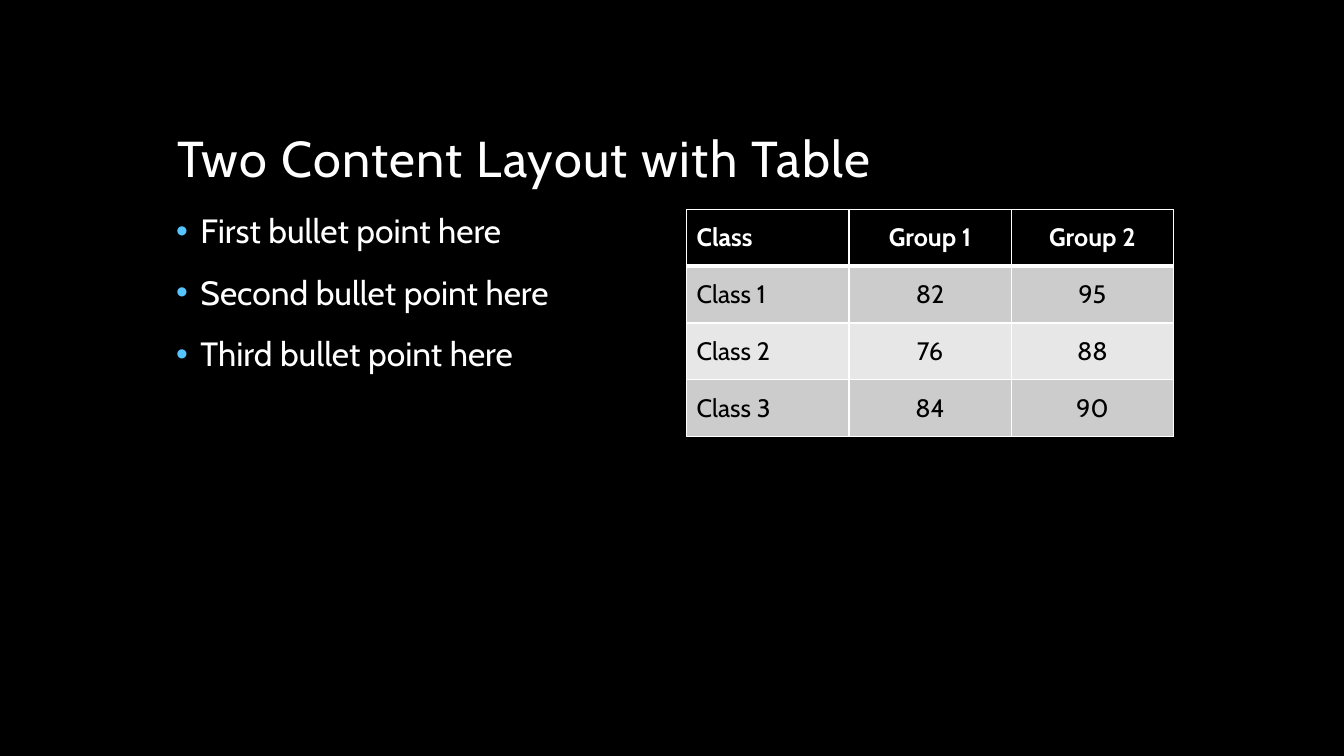
"""Build a slide with a bullet list beside a table of class results."""
from lxml.etree import SubElement
from pptx import Presentation
from pptx.dml.color import RGBColor
from pptx.enum.text import MSO_ANCHOR as Anchor, MSO_AUTO_SIZE as AutoSize, PP_ALIGN as Align
from pptx.oxml import parse_xml
from pptx.oxml.ns import nsdecls, qn
from pptx.util import Inches, Pt

TITLE = "Two Content Layout with Table"
BULLETS = ["First bullet point here", "Second bullet point here", "Third bullet point here"]
RESULTS = [
    ("Class", "Group 1", "Group 2"),
    ("Class 1", "82", "95"),
    ("Class 2", "76", "88"),
    ("Class 3", "84", "90"),
]

FONT = "Cabin"
BLACK = RGBColor(0x00, 0x00, 0x00)
WHITE = RGBColor(0xFF, 0xFF, 0xFF)
SKY = RGBColor(0x56, 0xC5, 0xFF)
BANDS = (RGBColor(0xE7, 0xE7, 0xE7), RGBColor(0xCC, 0xCC, 0xCC))

CONTENT_TOP = Inches(2.08)
CONTENT_WIDTH = Inches(4.83)
RESULTS_HEIGHT = Inches(2.25)
HANGING = Inches(0.24)
THIN, THICK = Pt(1), Pt(3)


def style(paragraph, size, color, bold=False):
    for run in paragraph.runs:
        run.font.name = FONT
        run.font.size = Pt(size)
        run.font.bold = bold
        run.font.color.rgb = color


def add_bullet(paragraph):
    properties = paragraph._p.get_or_add_pPr()
    properties.set("marL", str(HANGING))
    properties.set("indent", str(-HANGING))
    color = SubElement(properties, qn("a:buClr"))
    SubElement(color, qn("a:srgbClr")).set("val", str(SKY))
    SubElement(properties, qn("a:buFont")).set("typeface", "Arial")
    SubElement(properties, qn("a:buChar")).set("char", "•")


def add_borders(cell, top, bottom):
    properties = cell._tc.get_or_add_tcPr()
    edges = (("lnL", THIN), ("lnR", THIN), ("lnT", top), ("lnB", bottom))
    for position, (edge, width) in enumerate(edges):
        properties.insert(position, parse_xml(
            f'<a:{edge} {nsdecls("a")} w="{width}"><a:solidFill>'
            f'<a:srgbClr val="{WHITE}"/></a:solidFill></a:{edge}>'))


deck = Presentation()
deck.slide_width, deck.slide_height = Inches(13.33), Inches(7.5)
slide = deck.slides.add_slide(deck.slide_layouts[5])
slide.background.fill.solid()
slide.background.fill.fore_color.rgb = BLACK

title = slide.shapes.title
title.left, title.top = Inches(1.66), Inches(0.42)
title.width, title.height = Inches(10), Inches(1.5)
title_frame = title.text_frame
title_frame.text = TITLE
title_frame.auto_size = AutoSize.NONE
title_frame.vertical_anchor = Anchor.BOTTOM
heading = title_frame.paragraphs[0]
heading.alignment = Align.LEFT
heading.line_spacing = 0.9
style(heading, 36, WHITE)
heading.runs[0].font._element.set("spc", "100")

bullet_frame = slide.shapes.add_textbox(
    Inches(1.65), CONTENT_TOP, CONTENT_WIDTH, Inches(4.5)).text_frame
bullet_frame.word_wrap = True
bullet_frame.text = "\n".join(BULLETS)
for point in bullet_frame.paragraphs:
    point.line_spacing = 0.9
    point.space_before = Pt(18)
    add_bullet(point)
    style(point, 24, WHITE)

results = slide.shapes.add_table(
    len(RESULTS), len(RESULTS[0]), Inches(6.81), CONTENT_TOP,
    CONTENT_WIDTH, RESULTS_HEIGHT).table
for row, values in enumerate(RESULTS):
    header = row == 0
    for column, value in enumerate(values):
        cell = results.cell(row, column)
        cell.text = value
        cell.vertical_anchor = Anchor.MIDDLE
        cell.fill.solid()
        cell.fill.fore_color.rgb = BLACK if header else BANDS[row % 2]
        entry = cell.text_frame.paragraphs[0]
        entry.alignment = Align.CENTER if column else Align.LEFT
        style(entry, 18, WHITE if header else BLACK, header)
        add_borders(cell, THICK if row == 1 else THIN, THICK if header else THIN)

deck.save("out.pptx")
